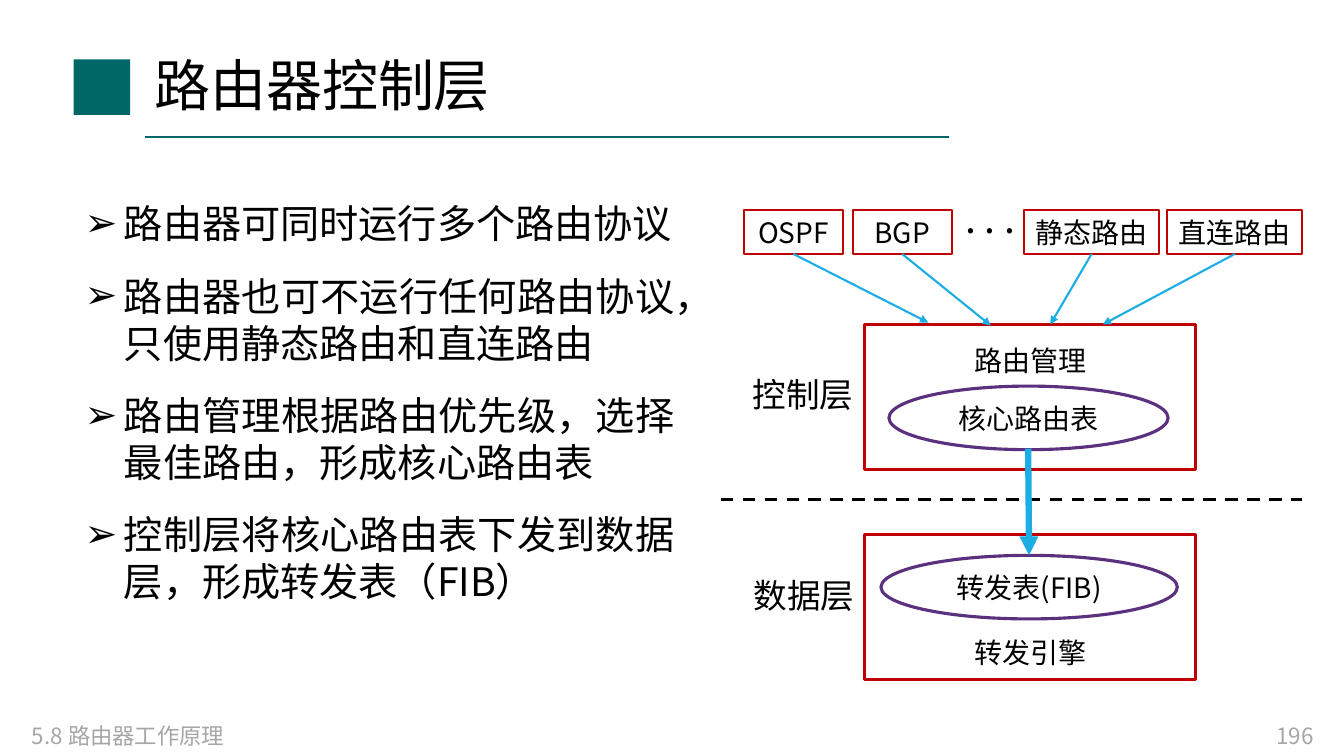
from dataclasses import dataclass
from typing import Optional

from lxml import etree
from pptx import Presentation
from pptx import util as u
from pptx.dml import color
from pptx.enum import dml, shapes, text
from pptx.oxml import ns


@dataclass(frozen=True)
class Theme:
    font: str = "Noto Sans CJK SC"
    black: str = "000000"
    white: str = "FFFFFF"
    grey: str = "A6A6A6"
    teal: str = "006666"
    red: str = "C00000"
    purple: str = "5B307E"
    blue: str = "1CADE4"
    title: float = 40
    body: float = 28
    layer: float = 24
    label: float = 20
    footer: float = 16
    thin: float = 1.5
    medium: float = 2.25
    thick: float = 4.5


THEME = Theme()
RECT = shapes.MSO_SHAPE.RECTANGLE
OVAL = shapes.MSO_SHAPE.OVAL
CENTER, LEFT, RIGHT = text.PP_ALIGN.CENTER, text.PP_ALIGN.LEFT, text.PP_ALIGN.RIGHT


@dataclass(frozen=True)
class Box:
    left: float
    top: float
    width: float
    height: float
    kind: shapes.MSO_SHAPE = RECT
    fill: Optional[str] = None
    line: Optional[str] = None
    line_width: float = THEME.medium
    label: str = ""


@dataclass(frozen=True)
class Label:
    label: str
    left: float
    top: float
    width: float
    height: float
    size: float
    ink: str = THEME.black
    align: text.PP_ALIGN = CENTER


@dataclass(frozen=True)
class Line:
    start: tuple[float, float]
    end: tuple[float, float]
    ink: str
    width: float
    arrow: bool = False
    dashed: bool = False


@dataclass(frozen=True)
class Protocol:
    name: str
    left: float
    width: float
    target: tuple[float, float]


def rgb(value: str) -> color.RGBColor:
    return color.RGBColor.from_string(value)


def add_run(paragraph, words: str, size: float, ink: str = THEME.black) -> None:
    run = paragraph.add_run()
    run.text = words
    run.font.size = u.Pt(size)
    run.font.name = THEME.font
    run.font.color.rgb = rgb(ink)
    properties = run.font._element
    east_asian = etree.Element(ns.qn("a:ea"), typeface=THEME.font)
    properties.find(ns.qn("a:latin")).addnext(east_asian)


def write_line(shape, words: str, size: float, ink: str, align: text.PP_ALIGN) -> None:
    frame = shape.text_frame
    frame.word_wrap = True
    frame.vertical_anchor = text.MSO_ANCHOR.MIDDLE
    paragraph = frame.paragraphs[0]
    paragraph.alignment = align
    add_run(paragraph, words, size, ink)


def place(shape, left: float, top: float, width: float, height: float) -> None:
    shape.left, shape.top = u.Pt(left), u.Pt(top)
    shape.width, shape.height = u.Pt(width), u.Pt(height)


def draw_box(slide, box: Box):
    shape = slide.shapes.add_shape(
        box.kind, u.Pt(box.left), u.Pt(box.top), u.Pt(box.width), u.Pt(box.height))
    shape.shadow.inherit = False
    if box.fill:
        shape.fill.solid()
        shape.fill.fore_color.rgb = rgb(box.fill)
    else:
        shape.fill.background()
    if box.line:
        shape.line.color.rgb = rgb(box.line)
        shape.line.width = u.Pt(box.line_width)
    else:
        shape.line.fill.background()
    if box.label:
        shape.text_frame.margin_left = shape.text_frame.margin_right = 0
        write_line(shape, box.label, THEME.label, THEME.black, CENTER)
    return shape


def draw_label(slide, label: Label) -> None:
    shape = slide.shapes.add_textbox(
        u.Pt(label.left), u.Pt(label.top), u.Pt(label.width), u.Pt(label.height))
    write_line(shape, label.label, label.size, label.ink, label.align)


def draw_line(slide, line: Line):
    connector = slide.shapes.add_connector(
        shapes.MSO_CONNECTOR.STRAIGHT, *(u.Pt(value) for value in line.start + line.end))
    connector.line.color.rgb = rgb(line.ink)
    connector.line.width = u.Pt(line.width)
    if line.dashed:
        connector.line.dash_style = dml.MSO_LINE.DASH
    if line.arrow:
        etree.SubElement(connector.line._get_or_add_ln(), ns.qn("a:tailEnd"), type="triangle")
    etree.SubElement(connector._element.spPr, ns.qn("a:effectLst"))
    return connector


def fill_body(body, items: list[str]) -> None:
    place(body, 53.3, 139, 436, 350)
    frame = body.text_frame
    frame.word_wrap = True
    frame.auto_size = text.MSO_AUTO_SIZE.NONE
    frame.vertical_anchor = text.MSO_ANCHOR.TOP
    for index, item in enumerate(items):
        paragraph = frame.add_paragraph() if index else frame.paragraphs[0]
        properties = paragraph._p.get_or_add_pPr()
        properties.set("marL", str(u.Pt(28)))
        properties.set("indent", str(u.Pt(-28)))
        etree.SubElement(properties, ns.qn("a:buChar"), char="➢")
        paragraph.alignment = text.PP_ALIGN.JUSTIFY
        paragraph.line_spacing = u.Pt(33.6)
        paragraph.space_before = u.Pt(18 if index else 0)
        add_run(paragraph, item, THEME.body)


PROTOCOLS = [
    Protocol("OSPF", 531.4, 70.6, (663.1, 230.4)),
    Protocol("BGP", 609.1, 70.6, (707.8, 232.6)),
    Protocol("静态路由", 731.5, 96.5, (750.2, 231.8)),
    Protocol("直连路由", 833.8, 96.5, (787.7, 231.8)),
]
PLANES = [
    Box(617.8, 241.2, 236.2, 31.6, fill=THEME.white, label="路由管理"),
    Box(635, 275.8, 199.4, 45.4, OVAL, THEME.white, THEME.purple, label="核心路由表"),
    Box(617.8, 231.8, 236.2, 103.7, line=THEME.red),
    Box(617.8, 450, 236.2, 31.6, fill=THEME.white, label="转发引擎"),
    Box(629.3, 396.7, 211.7, 45.4, OVAL, THEME.white, THEME.purple, label="转发表(FIB)"),
    Box(617.8, 381.6, 236.2, 103.7, line=THEME.red),
]
LINES = [
    Line((103.7, 97.9), (678.2, 97.9), THEME.teal, THEME.thin),
    Line((514.8, 357.1), (930.2, 357.1), THEME.black, THEME.medium, dashed=True),
    Line((734.4, 320.4), (735.1, 396.7), THEME.blue, THEME.thick, arrow=True),
]
LABELS = [
    Label(". . .", 656.6, 135, 101.5, 41, THEME.body),
    Label("控制层", 529.2, 263.5, 88.6, 36, THEME.layer),
    Label("数据层", 529.2, 406.8, 90, 36, THEME.layer),
    Label("5.8 路由器工作原理", 15.8, 511.2, 216, 28.8, THEME.footer, THEME.grey, LEFT),
    Label("196", 684, 511.2, 261.4, 28.8, THEME.footer, THEME.grey, RIGHT),
]
POINTS = [
    "路由器可同时运行多个路由协议",
    "路由器也可不运行任何路由协议，只使用静态路由和直连路由",
    "路由管理根据路由优先级，选择最佳路由，形成核心路由表",
    "控制层将核心路由表下发到数据层，形成转发表（FIB）",
]


def main() -> None:
    presentation = Presentation()
    presentation.slide_width, presentation.slide_height = u.Pt(960), u.Pt(540)
    slide = presentation.slides.add_slide(presentation.slide_layouts[1])

    title = slide.shapes.title
    place(title, 103, 28.8, 647.3, 69.1)
    title.text_frame.auto_size = text.MSO_AUTO_SIZE.NONE
    write_line(title, "路由器控制层", THEME.title, THEME.black, LEFT)
    title.text_frame.paragraphs[0].line_spacing = 0.9
    fill_body(slide.placeholders[1], POINTS)

    draw_box(slide, Box(52.6, 42.5, 40.3, 39.6, fill=THEME.teal))
    for box in PLANES:
        draw_box(slide, box)
    for line in LINES:
        draw_line(slide, line)
    for protocol in PROTOCOLS:
        source = draw_box(slide, Box(protocol.left, 149.8, protocol.width, 31.6, RECT, THEME.white,
                                     THEME.red, THEME.thin, protocol.name))
        start = (protocol.left + protocol.width / 2, 181.4)
        arrow = draw_line(slide, Line(start, protocol.target, THEME.blue, THEME.thin, arrow=True))
        arrow.begin_connect(source, 2)
    for label in LABELS:
        draw_label(slide, label)
    presentation.save("out.pptx")


if __name__ == "__main__":
    main()
